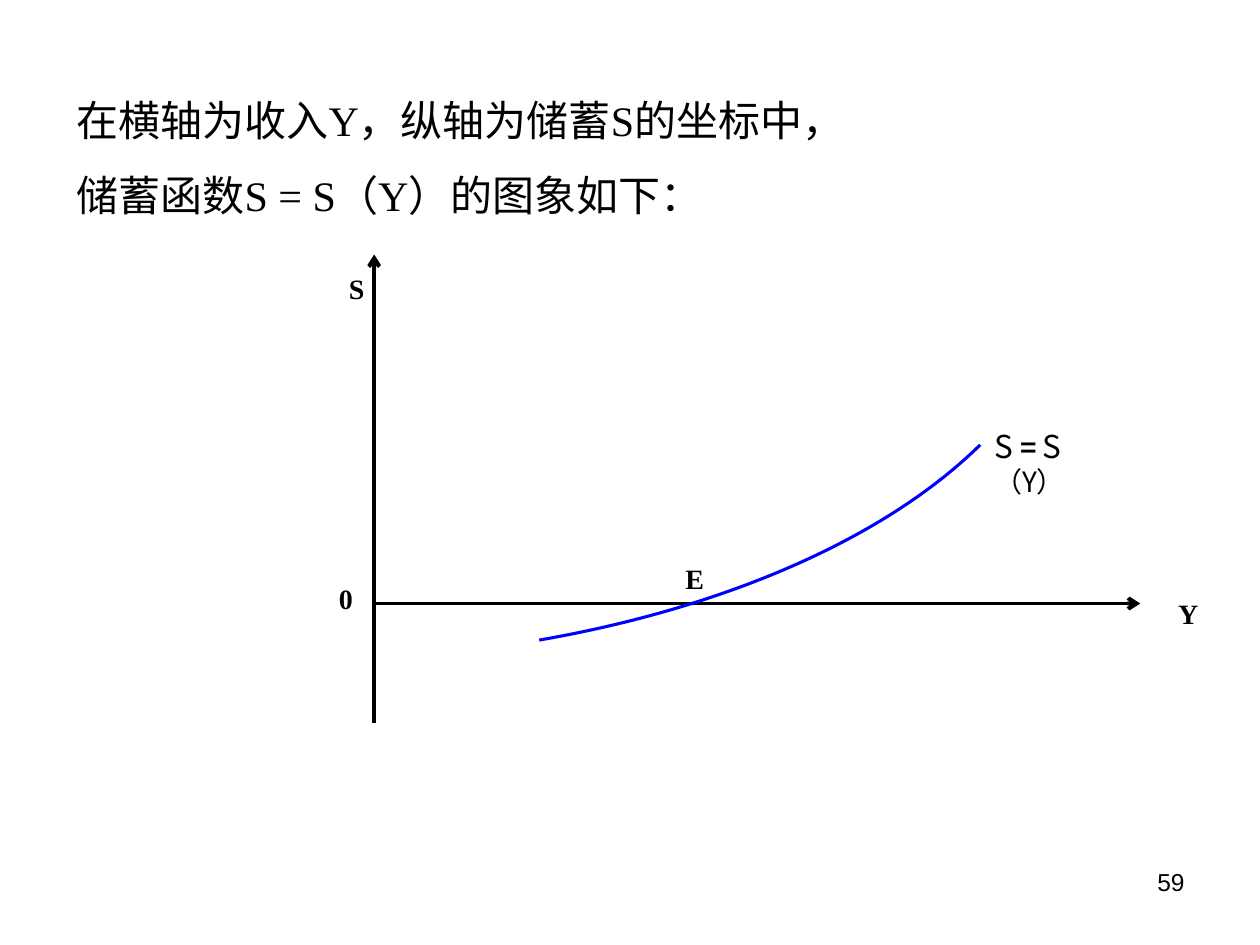
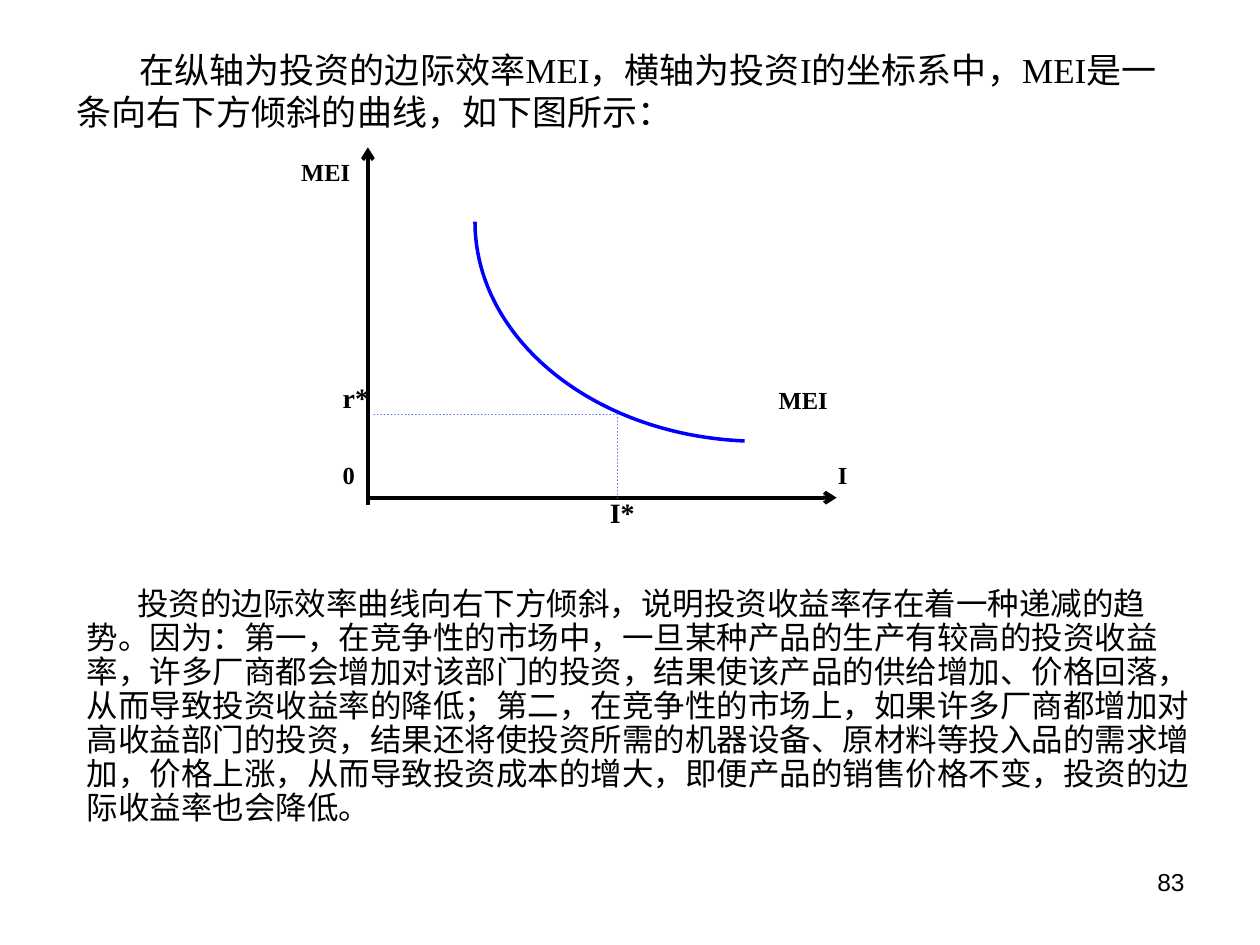
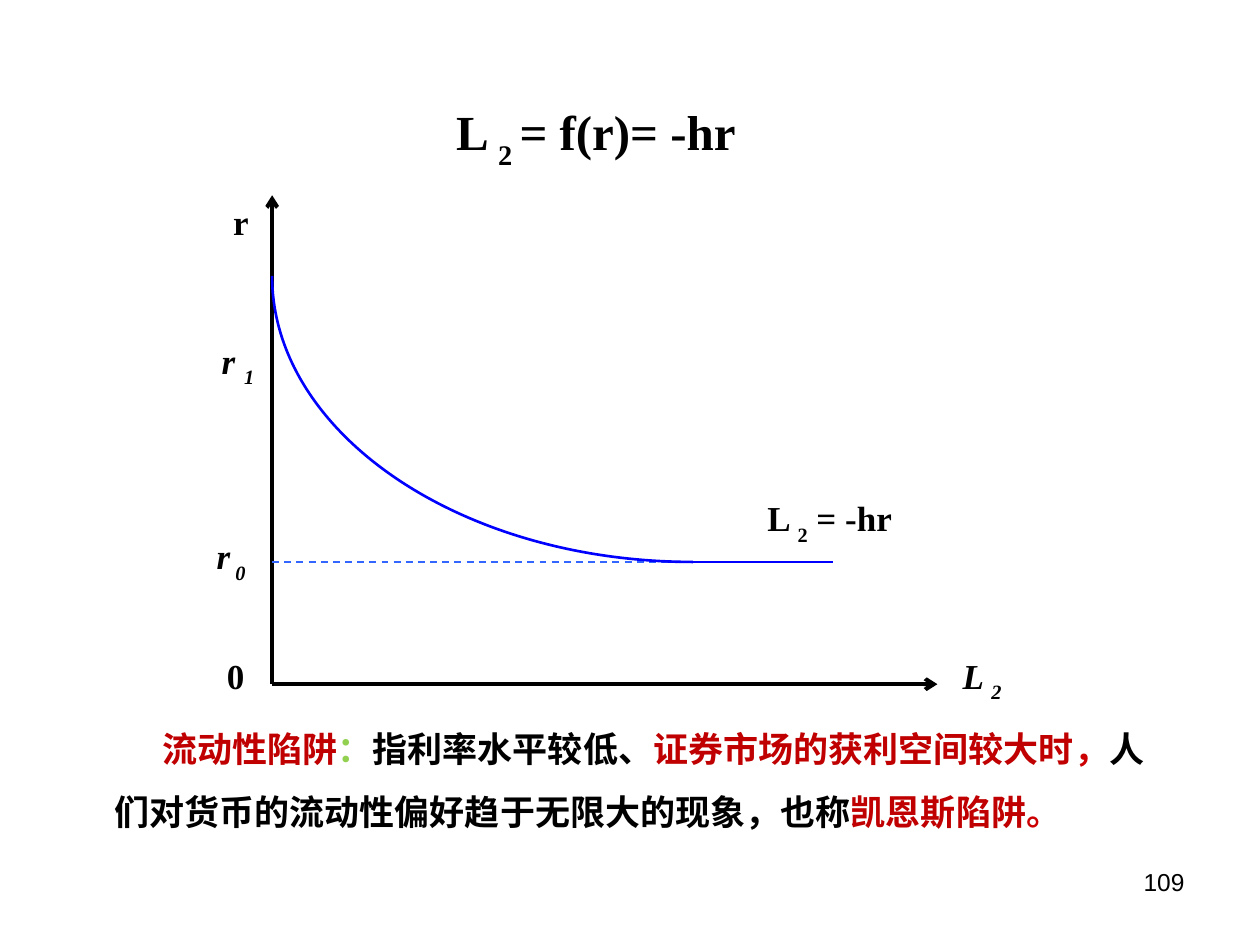
from dataclasses import dataclass

from lxml import etree
from pptx import Presentation
from pptx.dml.color import RGBColor
from pptx.enum.dml import MSO_LINE
from pptx.enum.lang import MSO_LANGUAGE_ID as LANG
from pptx.enum.shapes import MSO_CONNECTOR
from pptx.enum.text import MSO_ANCHOR, PP_ALIGN
from pptx.oxml.ns import qn
from pptx.util import Inches, Pt

BLACK, CURVE, GUIDE = "000000", "0000FF", "3366FF"
RED, DEEP_RED, GREEN = "CC0000", "C00000", "92D050"
SERIF, SANS, CJK = "Times New Roman", "Arial", "Noto Sans CJK SC"


def rgb(color):
    return RGBColor.from_string(color)


def add_run(p, text, size, font=SERIF, color=BLACK, bold=False, italic=False, sub=False):
    r = p.add_run()
    r.text = text
    f = r.font
    f.name, f.size, f.bold, f.italic = font, Pt(size), bold, italic
    f.color.rgb = rgb(color)
    f.language_id = LANG.SIMPLIFIED_CHINESE
    r_pr = f._element
    if sub:
        r_pr.set("baseline", "-30000")
    east_asian = CJK if font == CJK else SANS
    etree.SubElement(r_pr, qn("a:ea")).set("typeface", east_asian)


def add_text(slide, box, paragraphs, anchor=MSO_ANCHOR.TOP, align=PP_ALIGN.LEFT,
             spacing=None, margin=(0, 0), inset=(0.1, 0.05), **style):
    """Each paragraph is a list of (text, style changes); margin is (left, first line)."""
    sp = slide.shapes.add_textbox(*map(Inches, box))
    tf = sp.text_frame
    tf.word_wrap = True
    tf.vertical_anchor = anchor
    tf.margin_left = tf.margin_right = Inches(inset[0])
    tf.margin_top = tf.margin_bottom = Inches(inset[1])
    for i, runs in enumerate(paragraphs):
        p = tf.add_paragraph() if i else tf.paragraphs[0]
        p.alignment = align
        if spacing:
            p.line_spacing = Pt(spacing)
        p_pr = p._p.get_or_add_pPr()
        p_pr.set("marL", str(Inches(margin[0])))
        p_pr.set("indent", str(Inches(margin[1])))
        p_pr.set("hangingPunct", "0")
        for text, changes in runs:
            add_run(p, text, **{**style, **changes})


@dataclass
class Plot:
    """A diagram whose points are given as (right, up) from its origin."""
    slide: object
    left: float
    top: float

    def at(self, point):
        return Inches(self.left + point[0]), Inches(self.top - point[1])

    def line(self, start, end, color=BLACK, width=2.25, dash=None, arrow=False):
        cxn = self.slide.shapes.add_connector(
            MSO_CONNECTOR.STRAIGHT, *self.at(start), *self.at(end))
        cxn.line.color.rgb = rgb(color)
        cxn.line.width = Pt(width)
        ln = cxn.line._get_or_add_ln()
        if dash:
            cxn.line.dash_style = dash
        if dash == MSO_LINE.ROUND_DOT:
            ln.set("cap", "rnd")
        if arrow:
            etree.SubElement(ln, qn("a:tailEnd")).set("type", "arrow")
        etree.SubElement(cxn._element.spPr, qn("a:effectLst"))

    def axes(self, width, height, below=0):
        self.line((0, -below), (0, height), arrow=True)
        self.line((0, 0), (width, 0), arrow=True)

    def curve(self, start, *controls_and_end, width):
        """Draw one cubic Bezier curve."""
        builder = self.slide.shapes.build_freeform(*self.at(start))
        builder.add_line_segments([self.at(pt) for pt in controls_and_end], close=False)
        sp = builder.convert_to_shape()
        sp.shadow.inherit = False
        sp.fill.background()
        sp.line.color.rgb = rgb(CURVE)
        sp.line.width = Pt(width)
        path = next(sp._element.iter(qn("a:path")))
        bezier = etree.SubElement(path, qn("a:cubicBezTo"))
        for segment in path.findall(qn("a:lnTo")):
            bezier.append(segment[0])
            path.remove(segment)

    def label(self, point, *runs, width=0.6, size=16, bold=True, **style):
        """Put text with its left edge and vertical middle at the point."""
        height, lift = 0.4, 0.02
        box = (self.left + point[0], self.top - point[1] - height / 2 - lift, width, height)
        runs = [(r, {}) if isinstance(r, str) else r for r in runs]
        add_text(self.slide, box, [runs], anchor=MSO_ANCHOR.MIDDLE, inset=(0, 0),
                 size=size, bold=bold, **style)


def new_slide(prs, number):
    slide = prs.slides.add_slide(prs.slide_layouts[6])
    add_text(slide, (7.17, 6.83, 2.33, 0.52), [[(number, {})]],
             align=PP_ALIGN.RIGHT, size=14, font=SANS)
    return slide


def saving_slide(prs):
    slide = new_slide(prs, "59")
    lines = ["在横轴为收入Y，纵轴为储蓄S的坐标中，", "储蓄函数S = S（Y）的图象如下："]
    add_text(slide, (0.51, 0.51, 9.13, 1.3), [[(line, {})] for line in lines],
             spacing=42.8, size=24)
    plot = Plot(slide, 2.97, 4.79)
    plot.axes(6.08, 2.77, below=0.95)
    plot.curve((1.31, -0.29), (2.81, -0.03), (4.07, 0.53), (4.81, 1.26), width=1.75)
    plot.label((-0.2, 2.48), "S")
    plot.label((-0.28, 0.02), "0")
    plot.label((6.38, -0.1), "Y")
    plot.label((2.47, 0.18), "E")
    plot.label((4.92, 1.1), ("S ", {"size": 18}), ("= ", {"bold": True}),
               ("S ", {"size": 18}), "（Y）", width=0.75, bold=False, font=CJK)


def investment_slide(prs):
    slide = new_slide(prs, "83")
    title = ("在纵轴为投资的边际效率MEI，横轴为投资I的坐标系中，"
             "MEI是一条向右下方倾斜的曲线，如下图所示：")
    add_text(slide, (0.51, 0.28, 9, 0.87), [[(title, {})]], anchor=MSO_ANCHOR.MIDDLE,
             spacing=24, margin=(0, 0.5), size=20)

    plot = Plot(slide, 2.92, 3.95)
    plot.axes(3.72, 2.78, below=0.06)
    plot.curve((0.85, 2.19), (0.85, 1.27), (1.78, 0.5), (2.99, 0.45), width=2)
    optimum = (1.98, 0.66)
    for foot in ((0.05, optimum[1]), (optimum[0], 0)):
        plot.line(foot, optimum, GUIDE, 1, MSO_LINE.ROUND_DOT)
    plot.label((-0.53, 2.57), "MEI", size=14)
    plot.label((3.26, 0.76), "MEI", size=14)
    plot.label((-0.2, 0.16), "0", size=14)
    plot.label((3.73, 0.16), "I", size=14)
    plot.label((-0.2, 0.78), "r*")
    plot.label((1.92, -0.14), "I*")

    reason = ("投资的边际效率曲线向右下方倾斜，说明投资收益率存在着一种递减的趋势。"
              "因为：第一，在竞争性的市场中，一旦某种产品的生产有较高的投资收益率，"
              "许多厂商都会增加对该部门的投资，结果使该产品的供给增加、价格回落，"
              "从而导致投资收益率的降低；第二，在竞争性的市场上，"
              "如果许多厂商都增加对高收益部门的投资，"
              "结果还将使投资所需的机器设备、原材料等投入品的需求增加，价格上涨，"
              "从而导致投资成本的增大，即便产品的销售价格不变，"
              "投资的边际收益率也会降低。")
    add_text(slide, (0.59, 4.62, 9.06, 1.99), [[(reason, {})]],
             spacing=19.4, margin=(0, 0.4), size=18, font=SANS)


def liquidity_slide(prs):
    slide = new_slide(prs, "109")
    sub = {"sub": True}
    plot = Plot(slide, 2.16, 5.43)
    plot.axes(5.28, 3.88)
    floor = 0.97
    trap = (3.34, floor)
    plot.line((0, floor), trap, GUIDE, 1, MSO_LINE.DASH)
    plot.line(trap, (4.45, floor), CURVE, 1.5)
    plot.curve((0, 3.24), (0, 1.99), (1.5, floor), trap, width=1.5)
    plot.label((1.46, 4.33), "L ", ("2 ", sub), "= f(r)= -hr", width=2.6, size=28)
    plot.label((3.93, 1.27), "L ", ("2", sub), " = -hr", width=1.3, size=20)
    plot.label((5.48, 0.02), "L ", ("2", sub), size=20, italic=True)
    plot.label((-0.4, 2.52), "r ", ("1", sub), size=20, italic=True)
    plot.label((-0.44, 0.97), "r", (" 0", sub), size=20, italic=True)
    plot.label((-0.31, 3.65), "r", size=20)
    plot.label((-0.36, 0.05), "0", size=20)

    definition = [
        ("流动性陷阱", DEEP_RED), ("：", GREEN), ("指利率水平较低、", BLACK),
        ("证券市场的获利空间较大时", DEEP_RED), ("，", RED),
        ("人们对货币的流动性偏好趋于无限大的现象，也称", BLACK),
        ("凯恩斯陷阱", DEEP_RED), ("。", RED)]
    add_text(slide, (0.43, 5.56, 8.82, 1.23),
             [[(text, {"color": color}) for text, color in definition]],
             spacing=36, margin=(0.38, 0.38), size=20, bold=True)


def main():
    prs = Presentation()
    prs.slide_width, prs.slide_height = Inches(10), Inches(7.5)
    saving_slide(prs)
    investment_slide(prs)
    liquidity_slide(prs)
    prs.save("out.pptx")


if __name__ == "__main__":
    main()
